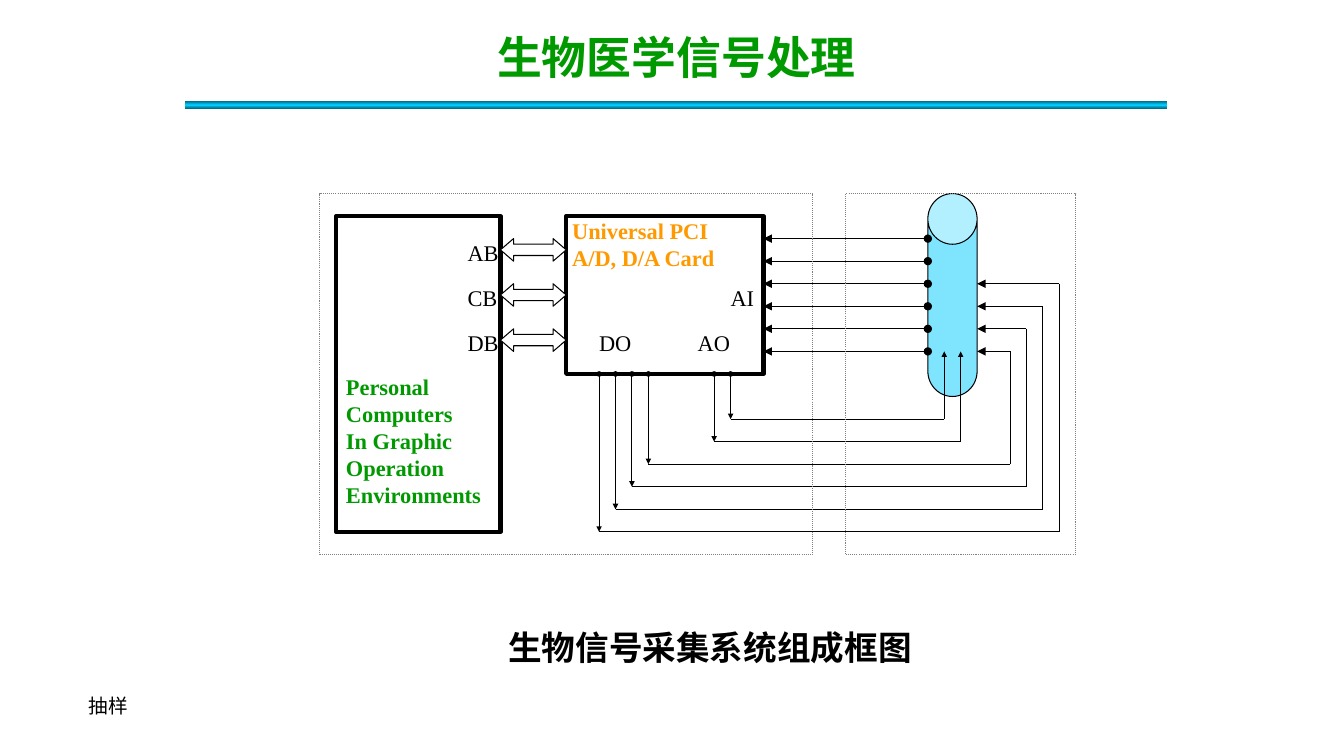
"""Build the slide with the block diagram of a biosignal acquisition system."""
from copy import deepcopy
from dataclasses import dataclass
from itertools import pairwise
from typing import Optional

from lxml.etree import SubElement
from pptx import Presentation
from pptx.dml.color import RGBColor
from pptx.enum.dml import MSO_LINE
from pptx.enum.shapes import MSO_CONNECTOR, MSO_SHAPE
from pptx.enum.text import MSO_ANCHOR, MSO_AUTO_SIZE, PP_ALIGN
from pptx.oxml.ns import qn
from pptx.shapes.autoshape import Shape
from pptx.slide import Slide
from pptx.util import Inches, Pt

COLORS = {
    "green": "009900", "orange": "FF9900", "cyan": "00CCFF", "teal": "005E76",
    "gray": "808080", "black": "000000", "white": "FFFFFF",
}
LATIN, CHINESE = "Times New Roman", "Noto Sans CJK SC"
SLIDE_W, SLIDE_H = Inches(13.33), Inches(7.5)
GRID_LEFT, GRID_TOP = Inches(3.17), Inches(1.92)
COLUMN, ROW = Inches(7.5) / 46, Inches(3.58) / 16
THIN, THICK = 0.75, 3

Point = tuple[float, float]
Box = tuple[int, int, int, int]


@dataclass
class Block:
    """A preset shape placed on the diagram grid."""
    preset: MSO_SHAPE
    column: float
    row: float
    columns: float
    rows: float
    fill: Optional[str] = "white"
    line: str = "black"
    width: float = THIN
    adjustments: tuple[float, ...] = ()


@dataclass
class Label:
    """A short signal name on the diagram grid."""
    text: str
    column: float
    row: float


@dataclass
class Loop:
    """An output channel led back to the subject through corner points."""
    start_column: int
    low_row: int
    corners: tuple[Point, ...]


CARD = Block(MSO_SHAPE.RECTANGLE, 15, 1, 12, 7, width=THICK)
SUBJECT = Block(MSO_SHAPE.CAN, 37, 0, 3, 9, "cyan", adjustments=(1.029,))
COMPUTER = Block(MSO_SHAPE.RECTANGLE, 1, 1, 10, 14, width=THICK)
BUSES = [Block(MSO_SHAPE.LEFT_RIGHT_ARROW, 11, row, 4, 1, adjustments=(0.5, 0.581))
         for row in (2, 4, 6)]
FRAMES = [Block(MSO_SHAPE.RECTANGLE, column, 0, columns, 16, None, "gray")
          for column, columns in ((0, 30), (32, 14))]
LABELS = [Label("AI", 25, 4), Label("AO", 23, 6), Label("DO", 17, 6),
          Label("AB", 9, 2), Label("CB", 9, 4), Label("DB", 9, 6)]
ANALOG_OUTPUTS = [Loop(25 - i, 10 + i, ((38 + i, 10 + i), (38 + i, 7))) for i in range(2)]
DIGITAL_OUTPUTS = [Loop(20 - i, 12 + i, ((42 + i, 12 + i), (42 + i, 7 - i), (40, 7 - i)))
                   for i in range(4)]


def color(name: str) -> RGBColor:
    return RGBColor.from_string(COLORS[name])


def grid_box(column: float, row: float, columns: float, rows: float) -> Box:
    return (round(GRID_LEFT + column * COLUMN), round(GRID_TOP + row * ROW),
            round(columns * COLUMN), round(rows * ROW))


def share_box(left: float, top: float, width: float, height: float) -> Box:
    return (round(left * SLIDE_W), round(top * SLIDE_H),
            round(width * SLIDE_W), round(height * SLIDE_H))


def write(shape: Shape, text: str, size: float, hue: str, font: str = LATIN,
          bold: bool = False, align: PP_ALIGN = PP_ALIGN.LEFT,
          anchor: MSO_ANCHOR = MSO_ANCHOR.TOP,
          insets: Point = (0.1, 0.05)) -> None:
    frame = shape.text_frame
    frame.text = text
    frame.word_wrap = True
    frame.auto_size = MSO_AUTO_SIZE.NONE
    frame.vertical_anchor = anchor
    frame.margin_left = frame.margin_right = Inches(insets[0])
    frame.margin_top = frame.margin_bottom = Inches(insets[1])
    for paragraph in frame.paragraphs:
        paragraph.alignment = align
        for run in paragraph.runs:
            run.font.size, run.font.bold, run.font.name = Pt(size), bold, font
            run.font.color.rgb = color(hue)
            SubElement(run.font._element, qn("a:ea"), typeface=CHINESE)


def add_block(slide: Slide, block: Block) -> Shape:
    shape = slide.shapes.add_shape(
        block.preset, *grid_box(block.column, block.row, block.columns, block.rows))
    shape.shadow.inherit = False
    for index, value in enumerate(block.adjustments):
        shape.adjustments[index] = value
    if block.fill:
        shape.fill.solid()
        shape.fill.fore_color.rgb = color(block.fill)
    else:
        shape.fill.background()
    shape.line.color.rgb = color(block.line)
    shape.line.width = Pt(block.width)
    return shape


def add_wire(slide: Slide, start: Point, end: Point, head: Optional[str] = None,
             tail: Optional[str] = None, size: str = "med") -> None:
    wire = slide.shapes.add_connector(
        MSO_CONNECTOR.STRAIGHT, *grid_box(*start, 0, 0)[:2], *grid_box(*end, 0, 0)[:2])
    wire.line.color.rgb = color("black")
    wire.line.width = Pt(THIN)
    outline = wire.line._get_or_add_ln()
    for tag, kind in (("a:headEnd", head), ("a:tailEnd", tail)):
        if kind:
            SubElement(outline, qn(tag), type=kind, w=size, len=size)
    SubElement(wire._element.spPr, qn("a:effectLst"))


def add_loop(slide: Slide, loop: Loop, tip_size: str) -> None:
    corner = (loop.start_column, loop.low_row)
    add_wire(slide, (loop.start_column, 8), corner, "oval", "triangle", "sm")
    for start, end in pairwise((corner, *loop.corners)):
        tip = "triangle" if end == loop.corners[-1] else None
        add_wire(slide, start, end, tail=tip, size=tip_size)


def add_title_rule(slide: Slide) -> None:
    rule = slide.shapes.add_shape(MSO_SHAPE.RECTANGLE, *share_box(0.1375, 0.1333, 0.7314, 0.0111))
    rule.shadow.inherit = False
    rule.line.color.rgb = color("white")
    rule.line.width = Pt(THIN)
    rule.fill.gradient()
    rule.fill.gradient_angle = 90
    stops = rule._element.spPr.find(qn("a:gradFill")).find(qn("a:gsLst"))
    stops.insert(1, deepcopy(stops[0]))
    for stop, position, hue in zip(rule.fill.gradient_stops, (0, 0.5, 1), ("teal", "cyan", "teal")):
        stop.position = position
        stop.color.rgb = color(hue)


def add_diagram(slide: Slide) -> None:
    write(add_block(slide, CARD), "Universal PCI\nA/D, D/A Card", 16, "orange",
          bold=True, insets=(0.06, 0.01))
    subject = add_block(slide, SUBJECT)
    tint = subject._element.spPr.find(qn("a:solidFill"))[0]
    SubElement(tint, qn("a:alpha"), val="50000")
    for row in range(2, 8):
        add_wire(slide, (37, row), (27, row), "oval", "triangle")
    for loop in ANALOG_OUTPUTS:
        add_loop(slide, loop, "sm")
    for loop in DIGITAL_OUTPUTS:
        add_loop(slide, loop, "med")
    write(add_block(slide, COMPUTER),
          "Personal\nComputers\nIn Graphic\nOperation\nEnvironments", 16, "green",
          bold=True, anchor=MSO_ANCHOR.BOTTOM, insets=(0.1, 0.24))
    for bus in BUSES:
        add_block(slide, bus)
    for label in LABELS:
        signal = slide.shapes.add_textbox(*grid_box(label.column, label.row, 2, 2))
        write(signal, label.text, 16, "black", insets=(0, 0))
    for frame in FRAMES:
        add_block(slide, frame).line.dash_style = MSO_LINE.ROUND_DOT


def main() -> None:
    deck = Presentation()
    deck.slide_width, deck.slide_height = SLIDE_W, SLIDE_H
    slide = deck.slides.add_slide(deck.slide_layouts[5])
    title = slide.shapes.title
    title.left, title.top, title.width, title.height = share_box(0.3376, 0.0333, 0.3316, 0.084)
    write(title, "生物医学信号处理", 32, "green", CHINESE, True, PP_ALIGN.CENTER, MSO_ANCHOR.MIDDLE)
    sampling = slide.shapes.add_textbox(*share_box(0.0585, 0.9107, 0.2086, 0.0667))
    write(sampling, "抽样", 14, "black")
    add_diagram(slide)
    caption = slide.shapes.add_textbox(*share_box(0.2968, 0.8227, 0.4629, 0.0667))
    write(caption, "生物信号采集系统组成框图", 24, "black", CHINESE, True,
          PP_ALIGN.CENTER, MSO_ANCHOR.MIDDLE)
    add_title_rule(slide)
    deck.save("out.pptx")


if __name__ == "__main__":
    main()
